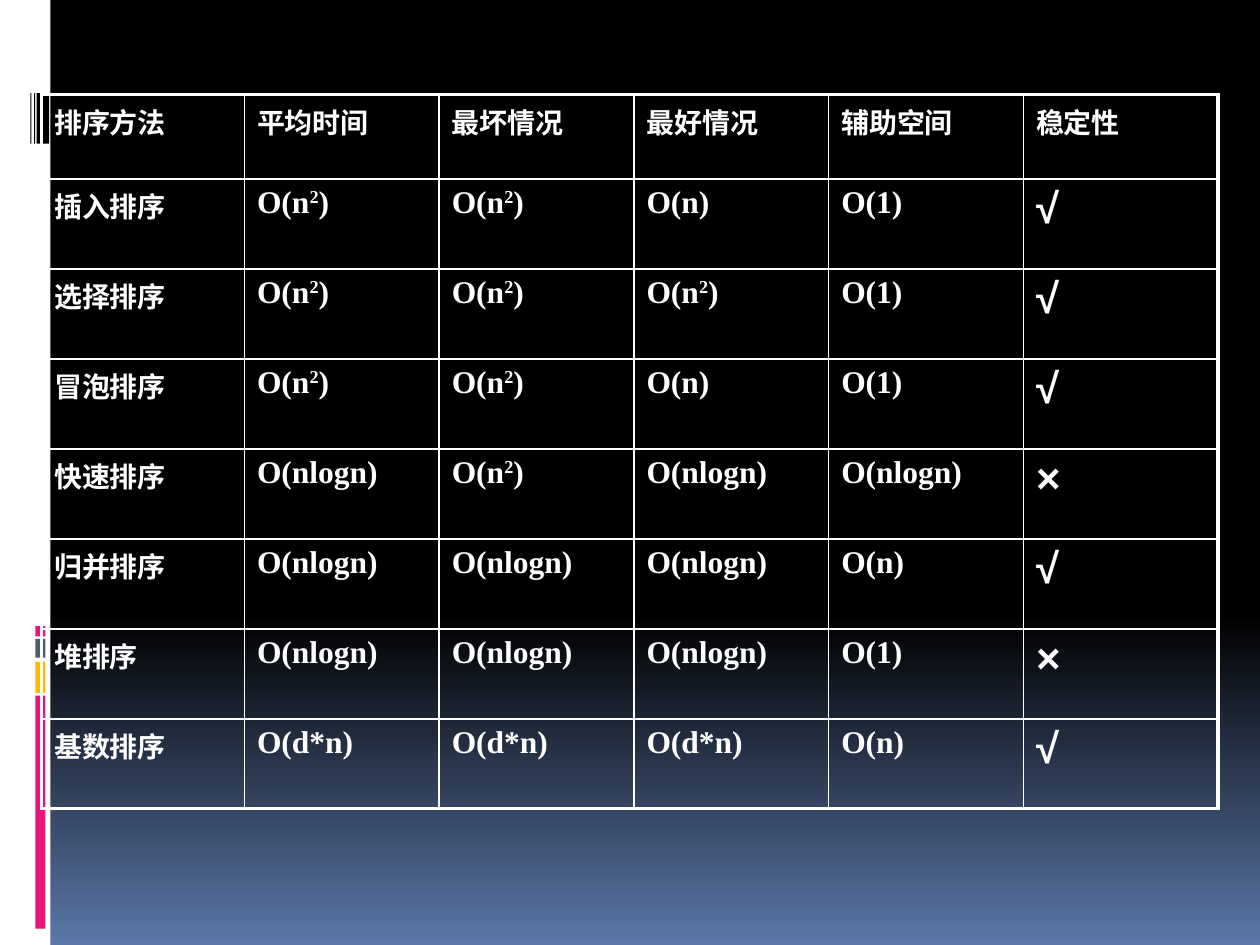
from copy import deepcopy
from dataclasses import dataclass

from lxml.etree import SubElement
from pptx import Presentation
from pptx.dml.color import RGBColor as RGB
from pptx.enum.shapes import MSO_SHAPE as Shape
from pptx.oxml.ns import qn
from pptx.util import Inches, Pt

# The slide is a grid of fine columns and rows
WIDE, HIGH = Inches(10), Inches(7.5)
COLS, ROWS = 1000, 750


@dataclass(frozen=True)
class Theme:
    white: str = "FFFFFF"
    black: str = "000000"
    blue: str = "5B77A8"
    pink: str = "EA157A"
    gold: str = "FEB80A"
    slate: str = "4E5B6F"
    sans: str = "Arial"
    serif: str = "Times New Roman"
    label: int = 16
    cost: int = 18
    mark: int = 24
    thin: float = 1
    thick: float = 2.25


LOOK = Theme()

# Left, top, width, height in grid units, and colour
BARS = [
    (0, 0, 40, 750, LOOK.white),
    (28, 552, 8, 185, LOOK.pink),
    (28, 525, 8, 25, LOOK.gold),
    (28, 507, 8, 15, LOOK.slate),
    (28, 497, 8, 8, LOOK.pink),
    *((left, 74, width, 40, LOOK.black)
      for left, width in [(34, 5), (29, 3), (27, 1), (24, 1)]),
]

# A caret stands before a raised digit
HEAD = ["排序方法", "平均时间", "最坏情况", "最好情况", "辅助空间", "稳定性"]
SORTS = [
    ["插入排序", "O(n^2)", "O(n^2)", "O(n)", "O(1)", "√"],
    ["选择排序", "O(n^2)", "O(n^2)", "O(n^2)", "O(1)", "√"],
    ["冒泡排序", "O(n^2)", "O(n^2)", "O(n)", "O(1)", "√"],
    ["快速排序", "O(nlogn)", "O(n^2)", "O(nlogn)", "O(nlogn)", "×"],
    ["归并排序", "O(nlogn)", "O(nlogn)", "O(nlogn)", "O(n)", "√"],
    ["堆排序", "O(nlogn)", "O(nlogn)", "O(nlogn)", "O(1)", "×"],
    ["基数排序", "O(d*n)", "O(d*n)", "O(d*n)", "O(n)", "√"],
]


def across(cols):
    return round(WIDE * cols / COLS)


def down(rows):
    return round(HIGH * rows / ROWS)


def shade(slide):
    """Black down to 65 %, then fading to blue."""
    fill = slide.background.fill
    fill.gradient()
    fill.gradient_angle = 270
    for stop, place, color in zip(fill.gradient_stops, (0.65, 1),
                                  (LOOK.black, LOOK.blue)):
        stop.color.rgb = RGB.from_string(color)
        stop.position = place
    stops = slide.element.find(".//" + qn("a:gsLst"))
    first = deepcopy(stops[0])
    first.set("pos", "0")
    stops.insert(0, first)


def bar(slide, left, top, width, height, color):
    box = slide.shapes.add_shape(Shape.RECTANGLE, across(left), down(top),
                                 across(width), down(height))
    box.shadow.inherit = False
    box.fill.solid()
    box.fill.fore_color.rgb = RGB.from_string(color)
    box.line.fill.background()


def write(para, text, size=LOOK.label, face=LOOK.sans, color=LOOK.white,
          bold=True):
    base, caret, rest = text.partition("^")
    for part, raised in [(base, False), (rest[:1], True), (rest[1:], False)]:
        if not part:
            continue
        run = para.add_run()
        run.text = part
        font = run.font
        font.size, font.name, font.bold = Pt(size), face, bold
        font.color.rgb = RGB.from_string(color)
        if raised:
            run._r.get_or_add_rPr().set("baseline", "30000")


def edge(cell, side, width):
    line = SubElement(cell._tc.get_or_add_tcPr(), qn("a:ln" + side),
                      w=str(Pt(width)))
    fill = SubElement(line, qn("a:solidFill"))
    SubElement(fill, qn("a:srgbClr"), val=LOOK.white)


def style(row, col, last):
    """Text format by place in the table."""
    if row == 0 or col == 0:
        return dict(size=LOOK.label)
    if col == last:
        return dict(size=LOOK.mark)
    return dict(size=LOOK.cost, face=LOOK.serif)


def table(slide, data, left, top, width, height, name_col, head_row):
    rows, cols = len(data), len(data[0])
    grid = slide.shapes.add_table(rows, cols, across(left), down(top),
                                  across(width), down(height)).table
    grid.first_row = grid.horz_banding = False

    # The first column and row have their own size; the rest share evenly
    for i, col in enumerate(grid.columns):
        col.width = across((width - name_col) / (cols - 1) if i else name_col)
    for i, row in enumerate(grid.rows):
        row.height = down((height - head_row) / (rows - 1) if i else head_row)

    for r, line in enumerate(data):
        for c, text in enumerate(line):
            cell = grid.cell(r, c)
            outer = {"L": c == 0, "R": c == cols - 1,
                     "T": r == 0, "B": r == rows - 1}
            for side, rim in outer.items():
                edge(cell, side, LOOK.thick if rim else LOOK.thin)
            cell.fill.background()
            write(cell.text_frame.paragraphs[0], text,
                  **style(r, c, cols - 1))


def main():
    deck = Presentation()
    deck.slide_width, deck.slide_height = WIDE, HIGH
    slide = deck.slides.add_slide(deck.slide_layouts[6])

    # Backdrop and side strip
    shade(slide)
    for spot in BARS:
        bar(slide, *spot)

    # Comparison of sorting methods
    table(slide, [HEAD, *SORTS], 33, 75, 934, 567, name_col=161, head_row=67)

    deck.save("out.pptx")


if __name__ == "__main__":
    main()
